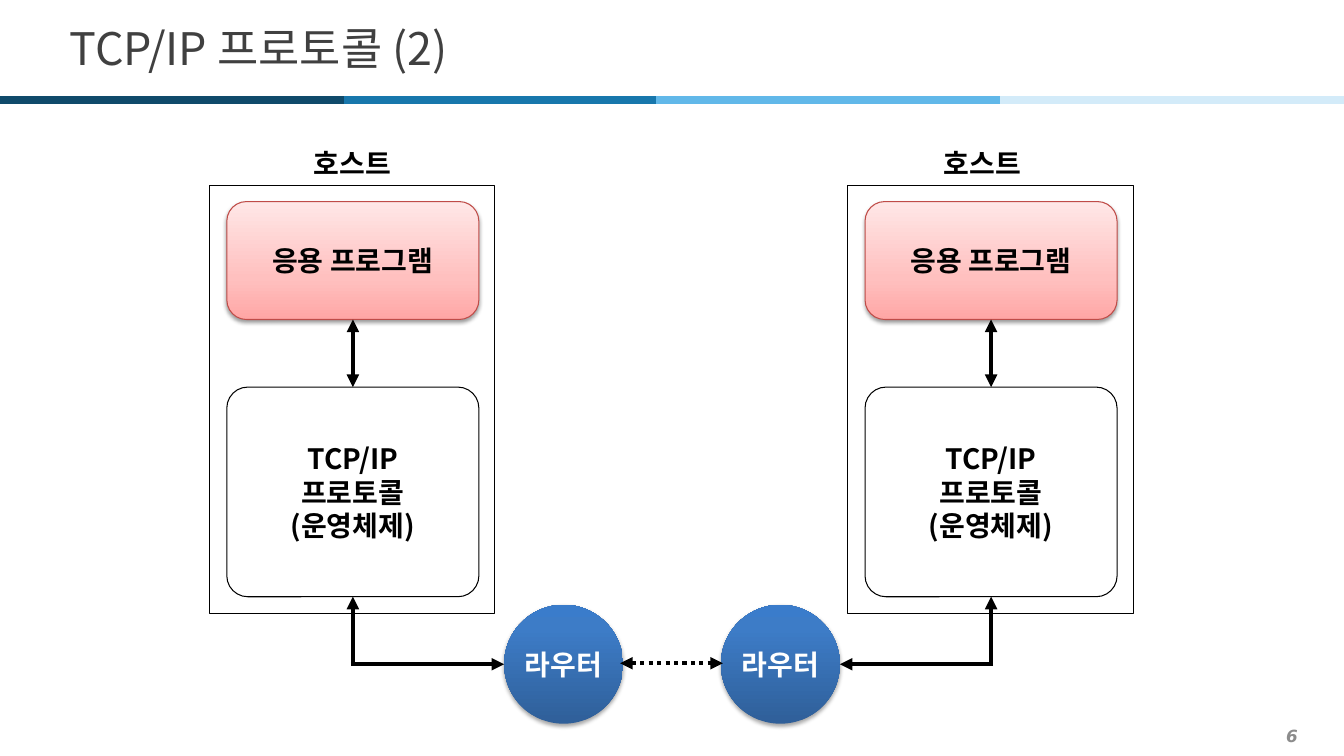
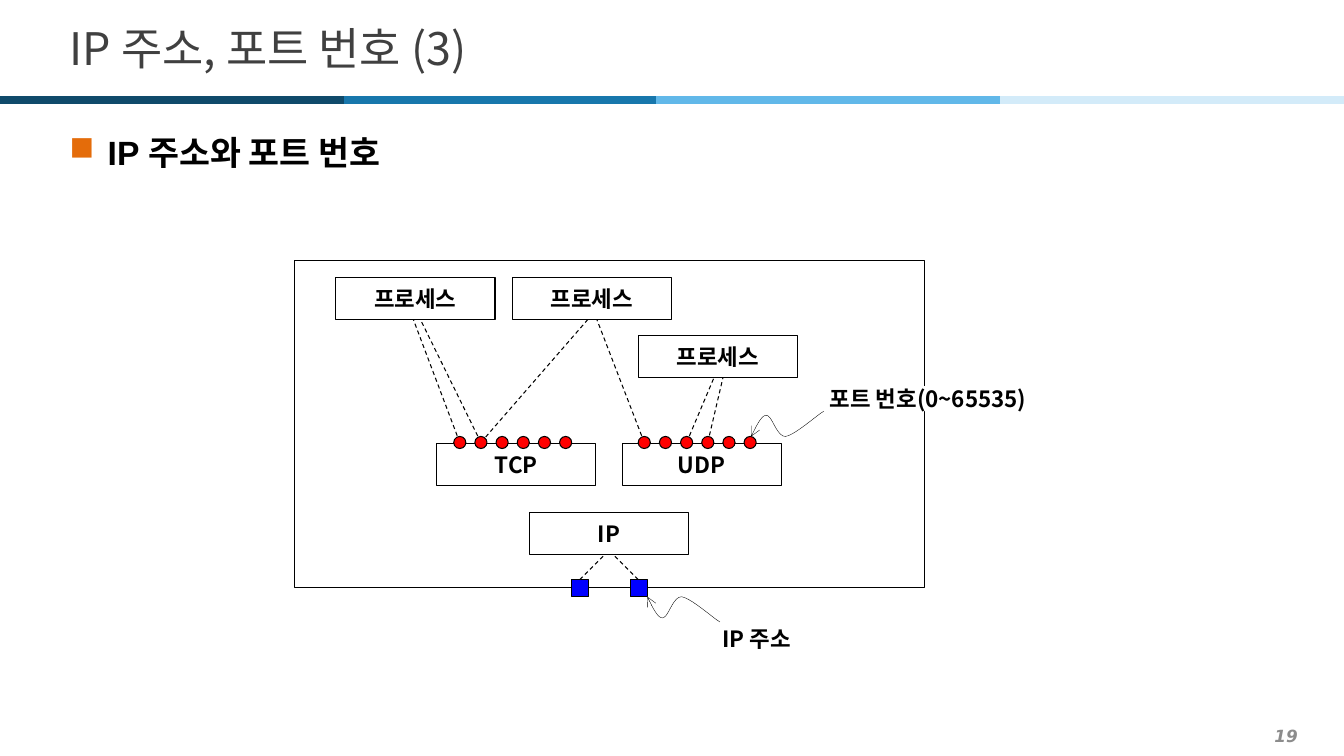
import dataclasses

import pptx
import pptx.dml.color
import pptx.enum.dml
import pptx.enum.shapes
import pptx.enum.text
import pptx.oxml
import pptx.oxml.ns
import pptx.util

Inches = pptx.util.Inches
Pt = pptx.util.Pt
RGB = pptx.dml.color.RGBColor.from_string
SHAPE = pptx.enum.shapes.MSO_SHAPE
ALIGN = pptx.enum.text.PP_ALIGN
ANCHOR = pptx.enum.text.MSO_ANCHOR
DASH = pptx.enum.dml.MSO_LINE.DASH
DOT = pptx.enum.dml.MSO_LINE.ROUND_DOT


@dataclasses.dataclass(frozen=True)
class Theme:
    """Fonts, type sizes and colours of the deck."""
    font: str = "Noto Sans CJK KR"
    body_font: str = "Arial"
    number_font: str = "DejaVu Sans"
    title_size: int = 32
    body_size: int = 24
    box_size: int = 20
    small_size: int = 16
    number_size: int = 12
    ink: str = "000000"
    paper: str = "FFFFFF"
    title: str = "404040"
    number: str = "8C8C8C"
    bullet: str = "E46C0A"
    port: str = "FF0000"
    address: str = "0000FF"
    app_line: str = "BF4C48"
    app_fill: tuple = ((0, "FFA6A5"), (35, "FFC0BF"), (100, "FFE7E7"))
    router_fill: tuple = ((0, "2F5F99"), (80, "3D7CC7"), (100, "3A7CCB"))
    bands: tuple = ("0F4A6B", "1877AC", "61B8E9", "D3EBF9")


T = Theme()


def add_xml(parent, xml):
    """Append a drawing element to parent."""
    ns = pptx.oxml.ns.nsdecls("a")
    head, _, rest = xml.partition(" ")
    parent.append(pptx.oxml.parse_xml(f"{head} {ns} {rest}"))


class Deck:
    """Holds the presentation, its style and the current slide."""

    def __init__(self):
        """Start an empty widescreen presentation."""
        self.prs = pptx.Presentation()
        self.prs.slide_width = Inches(13.33)
        self.prs.slide_height = Inches(7.5)

    def slide(self, title, number):
        """Add a slide with its title, colour band and number."""
        self.s = self.prs.slides.add_slide(self.prs.slide_layouts[6])
        edges = (0, 3.41, 6.51, 9.92, 13.33)
        for color, left, right in zip(T.bands, edges, edges[1:]):
            self.line((left, 0.99), (right, 0.99), color, 6)
        self.text((0.59, 0.13, 12.21, 0.68), title, T.title_size, T.title,
                  bold=False, align=ALIGN.LEFT, wrap=True)
        self.text((0.2, 7.14, 12.77, 0.31), number, T.number_size, T.number,
                  font=T.number_font, italic=True, align=ALIGN.RIGHT, wrap=True)

    def style(self, p, size, color, font=T.font, bold=True, italic=False):
        """Set the font of a paragraph."""
        f = p.font
        f.size, f.bold, f.italic = Pt(size), bold, italic
        f.color.rgb = RGB(color)
        f.name = font
        add_xml(f._element, f'<a:ea typeface="{T.font}"/>')

    def fill_text(self, tf, text, size, color, align=ALIGN.CENTER, wrap=False, **font):
        """Fill a text frame, one paragraph a line."""
        tf.word_wrap = wrap
        tf.vertical_anchor = ANCHOR.MIDDLE
        for i, words in enumerate(text.split("\n")):
            p = tf.add_paragraph() if i else tf.paragraphs[0]
            p.add_run().text = words
            p.alignment = align
            self.style(p, size, color, **font)

    def text(self, box, text, size, color=T.ink, **options):
        """Add a text box."""
        sp = self.s.shapes.add_textbox(*map(Inches, box))
        self.fill_text(sp.text_frame, text, size, color, **options)

    def bullet(self, box, text):
        """Add a text box with one bulleted line."""
        tf = self.s.shapes.add_textbox(*map(Inches, box)).text_frame
        tf.word_wrap = True
        p = tf.paragraphs[0]
        p.add_run().text = text
        p.line_spacing = 1.2
        p.space_after = Pt(2)
        pPr = p._p.get_or_add_pPr()
        pPr.set("marL", str(Inches(0.38)))
        pPr.set("indent", str(-Inches(0.38)))
        add_xml(pPr, f'<a:buClr ><a:srgbClr val="{T.bullet}"/></a:buClr>')
        add_xml(pPr, '<a:buChar char="■"/>')
        self.style(p, T.body_size, T.ink, T.body_font)

    def shape(self, kind, box, text="", size=T.box_size, color=T.ink,
              fill=None, line=T.ink, shadow=0):
        """Add a preset shape with a plain, graded or empty fill."""
        sp = self.s.shapes.add_shape(kind, *map(Inches, box))
        sp.shadow.inherit = False
        if isinstance(fill, tuple):
            self.grade(sp, fill)
        elif fill:
            sp.fill.solid()
            sp.fill.fore_color.rgb = RGB(fill)
        else:
            sp.fill.background()
        if line:
            sp.line.color.rgb = RGB(line)
            sp.line.width = Pt(0.75)
        else:
            sp.line.fill.background()
        if shadow:
            effects = sp._element.spPr.find(pptx.oxml.ns.qn("a:effectLst"))
            add_xml(effects, f'<a:outerShdw blurRad="{Pt(3.1)}" dist="{Pt(1.7)}" '
                    'dir="5400000" rotWithShape="0"><a:srgbClr val="000000">'
                    f'<a:alpha val="{shadow * 1000}"/></a:srgbClr></a:outerShdw>')
        if text:
            self.fill_text(sp.text_frame, text, size, color)
        return sp

    def grade(self, sp, stops):
        """Give a shape a gradient that runs from bottom to top."""
        sp.fill.gradient()
        sp.fill.gradient_angle = 90
        gs_list = next(sp._element.spPr.iter(pptx.oxml.ns.qn("a:gsLst")))
        for gs in list(gs_list):
            gs_list.remove(gs)
        for position, color in stops:
            add_xml(gs_list, f'<a:gs pos="{position * 1000}">'
                    f'<a:srgbClr val="{color}"/></a:gs>')

    def ends(self, sp, head, tail):
        """Put arrowheads on a line."""
        ln = sp._element.spPr.get_or_add_ln()
        for tag, kind in (("headEnd", head), ("tailEnd", tail)):
            if kind:
                add_xml(ln, f'<a:{tag} type="{kind}"/>')

    def line(self, start, end, color=T.ink, width=0.75, dash=None,
             head=None, tail=None):
        """Add a straight line, with arrowheads if asked."""
        sp = self.s.shapes.add_connector(
            pptx.enum.shapes.MSO_CONNECTOR.STRAIGHT, *map(Inches, start + end))
        sp.line.color.rgb = RGB(color)
        sp.line.width = Pt(width)
        if dash:
            sp.line.dash_style = dash
        self.ends(sp, head, tail)
        add_xml(sp._element.spPr, "<a:effectLst />")
        return sp

    def curl(self, x, y, flip):
        """Add a wavy pointer whose arrowhead is at x, y."""
        curve = ((0, 0), (0.05, 0.1), (0.1, 0.21), (0.15, 0.21), (0.21, 0.21),
                 (0.25, 0), (0.34, 0), (0.43, 0.01), (0.65, 0.21), (0.72, 0.25))
        points = []
        for i in (0, 3, 6):
            for t in (n / 10 for n in range(1, 11)):
                weights = ((1 - t) ** 3, 3 * t * (1 - t) ** 2,
                           3 * t * t * (1 - t), t ** 3)
                dx, dy = (sum(w * c for w, c in zip(weights, axis))
                          for axis in zip(*curve[i:i + 4]))
                points.append((Inches(x + dx), Inches(y + flip * dy)))
        builder = self.s.shapes.build_freeform(Inches(x), Inches(y))
        builder.add_line_segments(points, close=False)
        sp = builder.convert_to_shape()
        sp.shadow.inherit = False
        sp.fill.background()
        sp.line.color.rgb = RGB(T.ink)
        sp.line.width = Pt(0.25)
        self.ends(sp, "arrow", None)


def protocol_slide(deck):
    """Two hosts that talk through routers."""
    deck.slide("TCP/IP 프로토콜 (2)", "6")
    arrow = "triangle"
    wire_y = 6.59
    for left, label_left, router, near, corner in (
            (2.25, 2.08, 5, 5, 3.48), (8.58, 8.33, 7.15, 8.33, 9.85)):
        middle = left + 1.25
        stack = deck.shape(SHAPE.ROUNDED_RECTANGLE, (left, 3.84, 2.5, 2.08),
                           "TCP/IP\n프로토콜\n(운영체제)")
        stack.adjustments[0] = 0.1
        app = deck.shape(SHAPE.ROUNDED_RECTANGLE, (left, 2, 2.5, 1.17),
                         "응용 프로그램", fill=T.app_fill, line=T.app_line, shadow=38)
        link = deck.line((middle, 3.17), (middle, 3.84), width=3,
                         head=arrow, tail=arrow)
        link.begin_connect(app, 2)
        link.end_connect(stack, 0)
        drop = deck.line((middle, 5.92), (middle, wire_y), width=3, head=arrow)
        drop.begin_connect(stack, 2)
        deck.shape(SHAPE.OVAL, (router, 6, 1.18, 1.18), "라우터", color=T.paper,
                   fill=T.router_fill, line=None, shadow=35)
        deck.line((corner, wire_y), (near, wire_y), width=3, tail=arrow)
        deck.shape(SHAPE.RECTANGLE, (left - 0.17, 1.84, 2.83, 4.25))
        deck.text((label_left, 1.33, 2.83, 0.58), "호스트", T.box_size)
    deck.line((6.15, 6.58), (7.17, 6.58), width=3, dash=DOT, head=arrow, tail=arrow)


def port_slide(deck):
    """Processes, ports and addresses inside one host."""
    deck.slide("IP 주소, 포트 번호 (3)", "19")
    deck.bullet((0.59, 1.18, 12.21, 6.03), "IP 주소와 포트 번호")
    deck.shape(SHAPE.RECTANGLE, (2.92, 2.58, 6.25, 3.25))
    for left, top, label in (
            (3.33, 2.75, "프로세스"), (5.08, 2.75, "프로세스"), (6.33, 3.33, "프로세스"),
            (4.33, 4.4, "TCP"), (6.17, 4.4, "UDP"), (5.25, 5.08, "IP")):
        deck.shape(SHAPE.RECTANGLE, (left, top, 1.58, 0.42), label, T.small_size)

    tcp, udp, step, dot = 4.5, 6.33, 0.21, 0.12
    for first, port, x, y in (
            (tcp, 0, 4.1, 3.17), (tcp, 1, 4.17, 3.17), (tcp, 1, 5.83, 3.17),
            (udp, 0, 5.92, 3.17), (udp, 2, 7.08, 3.75), (udp, 3, 7.17, 3.75)):
        deck.line((first + port * step + dot / 2, 4.39), (x, y), dash=DASH)
    for first in (tcp, udp):
        for port in range(6):
            deck.shape(SHAPE.OVAL, (first + port * step, 4.33, dot, dot), fill=T.port)

    for left, x, y in ((5.67, 6, 5.5), (6.25, 6.08, 5.5)):
        deck.shape(SHAPE.RECTANGLE, (left, 5.75, 0.17, 0.17), fill=T.address)
        deck.line((left + 0.08, 5.75), (x, y), dash=DASH)

    deck.curl(7.45, 4.33, -1)
    deck.shape(SHAPE.RECTANGLE, (8.08, 3.83, 2.25, 0.25), "포트 번호(0~65535)",
               T.small_size, fill=T.paper, line=None)
    deck.curl(6.42, 5.92, 1)
    deck.text((6.92, 6.25, 1.17, 0.17), "IP 주소", T.small_size)


def main():
    """Build and save the deck."""
    deck = Deck()
    protocol_slide(deck)
    port_slide(deck)
    deck.prs.save("out.pptx")


if __name__ == "__main__":
    main()
